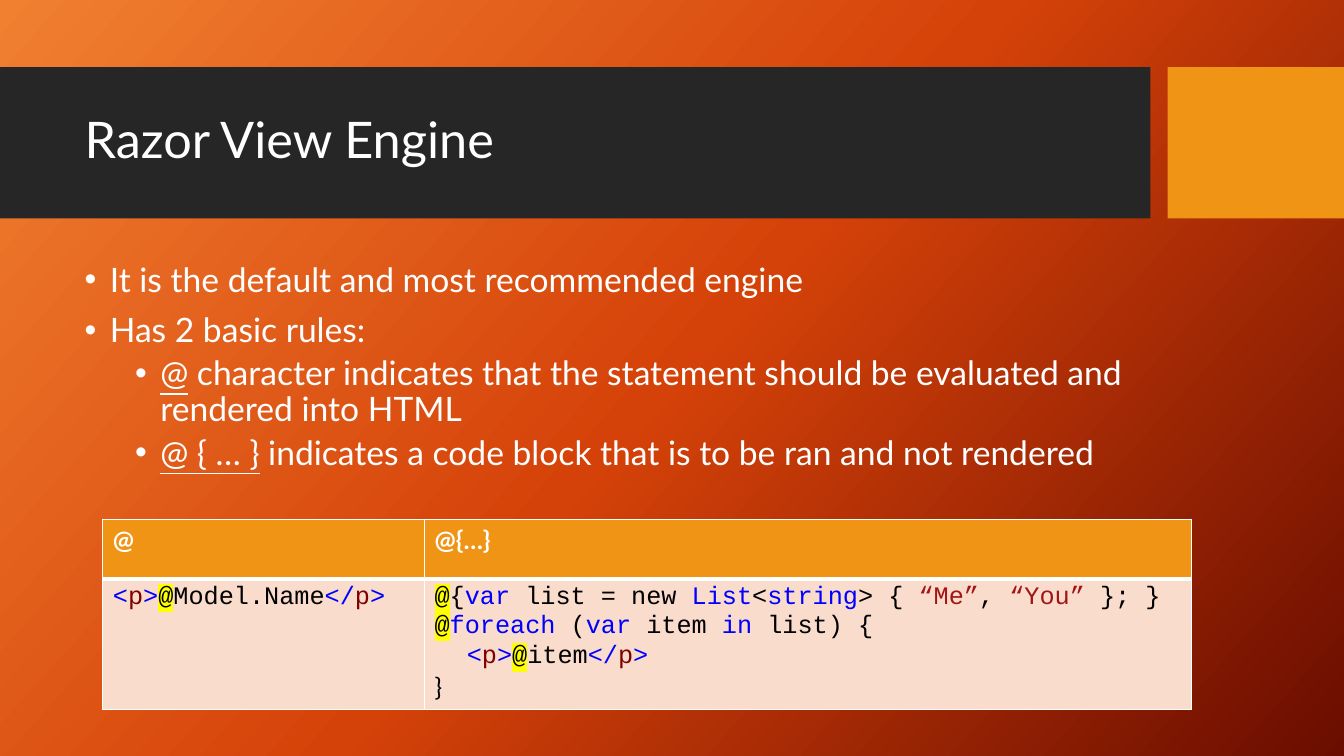
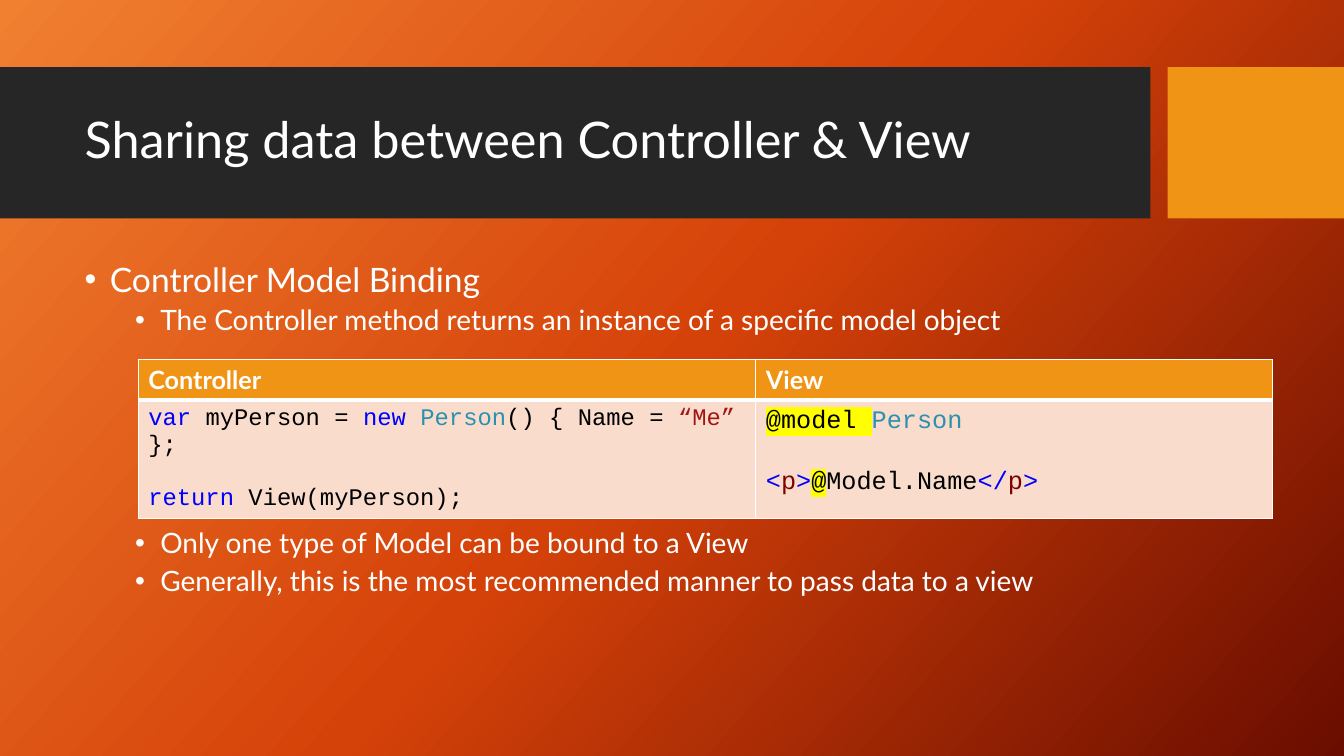
from copy import deepcopy

from lxml import etree
from pptx import Presentation
from pptx.dml.color import RGBColor
from pptx.enum.shapes import MSO_SHAPE
from pptx.enum.text import MSO_ANCHOR, MSO_AUTO_SIZE, PP_ALIGN
from pptx.oxml.ns import qn
from pptx.util import Emu, Inches, Pt

RECTANGLE = MSO_SHAPE.RECTANGLE
TOP, MIDDLE = MSO_ANCHOR.TOP, MSO_ANCHOR.MIDDLE
NO_FIT = MSO_AUTO_SIZE.NONE
LEFT = PP_ALIGN.LEFT

SLIDE_WIDTH, SLIDE_HEIGHT = Inches(13.33), Inches(7.5)
WHITE = RGBColor(0xFF, 0xFF, 0xFF)
BLACK = RGBColor(0x00, 0x00, 0x00)
CHARCOAL = RGBColor(0x26, 0x26, 0x26)
AMBER = RGBColor(0xF0, 0x94, 0x15)
PEACH = RGBColor(0xF9, 0xDC, 0xCC)
YELLOW = RGBColor(0xFF, 0xFF, 0x00)
KEYWORD = RGBColor(0x00, 0x00, 0xFF)
TAG = RGBColor(0x80, 0x00, 0x00)
LITERAL = RGBColor(0xA3, 0x15, 0x15)
CLASS_NAME = RGBColor(0x2B, 0x91, 0xAF)
GRADIENT = [
    (0, RGBColor(0xF1, 0x80, 0x31)),
    (0.5, RGBColor(0xD5, 0x42, 0x09)),
    (1, RGBColor(0x6A, 0x0D, 0x00)),
]
GRADIENT_ANGLE = 360 - 42

TEXT_FONT, CODE_FONT = "Lato", "Courier New"
TITLE_FORMAT = {"size": Pt(36), "name": TEXT_FONT}
HEADER_FORMAT = {"size": Pt(18), "name": TEXT_FONT, "bold": True}
LIST_LEVELS = [
    {"margin": 0.25, "before": 10},
    {"margin": 0.75, "before": 5},
]

TITLE_BOX = (5.55, 10.93, 78.85, 15.73)
BODY_BOX = (5.55, 34.13, 78.85, 52.53)
BANDS = [
    ((0, 8.9, 85.6, 20), CHARCOAL),
    ((86.87, 8.9, 13.13, 20), AMBER),
]


def across(percent):
    return Emu(round(SLIDE_WIDTH * percent / 100))


def down(percent):
    return Emu(round(SLIDE_HEIGHT * percent / 100))


def frame(box):
    left, top, width, height = box
    return across(left), down(top), across(width), down(height)


def assign(target, values):
    for key, value in values.items():
        setattr(target, key, value)


def place(part, box):
    assign(part, dict(zip(("left", "top", "width", "height"), frame(box))))


def add_colour(parent, tag, colour):
    holder = etree.SubElement(parent, qn(tag))
    etree.SubElement(holder, qn("a:srgbClr"), val=str(colour))
    return holder


def write(paragraph, text, values, colour=WHITE, highlight=None):
    run = paragraph.add_run()
    run.text = text
    run.font.color.rgb = colour
    assign(run.font, values)
    if highlight is not None:
        properties = run.font._element
        mark = add_colour(properties, "a:highlight", highlight)
        properties.find(qn("a:solidFill")).addnext(mark)


def next_paragraph(text_frame, index):
    return text_frame.add_paragraph() if index else text_frame.paragraphs[0]


def paint_background(layout):
    fill = layout.background.fill
    fill.gradient()
    stops = layout.element.find(".//" + qn("a:gsLst"))
    stops.append(deepcopy(stops[0]))
    for stop, (position, colour) in zip(fill.gradient_stops, GRADIENT):
        stop.color.rgb = colour
        stop.position = position
    fill.gradient_angle = GRADIENT_ANGLE


def prepare_layout(layout, first_slide):
    title, body, *footers = layout.placeholders
    for footer in footers:
        footer.element.getparent().remove(footer.element)
    place(title, TITLE_BOX)
    place(body, BODY_BOX)
    paint_background(layout)
    for box, colour in BANDS:
        band = first_slide.shapes.add_shape(RECTANGLE, *frame(box))
        band.shadow.inherit = False
        band.fill.solid()
        band.fill.fore_color.rgb = colour
        band.line.fill.background()
        title.element.addprevious(band.element)


def fill_title(title, text):
    assign(title.text_frame, {"vertical_anchor": MIDDLE, "auto_size": NO_FIT})
    paragraph = title.text_frame.paragraphs[0]
    assign(paragraph, {"alignment": LEFT, "line_spacing": 0.9})
    write(paragraph, text, TITLE_FORMAT)


def fill_list(body, items):
    assign(body.text_frame, {"vertical_anchor": TOP, "auto_size": NO_FIT})
    for index, item in enumerate(items):
        level = item["level"]
        style = LIST_LEVELS[level]
        paragraph = next_paragraph(body.text_frame, index)
        assign(paragraph, {
            "level": level,
            "alignment": LEFT,
            "line_spacing": 0.9,
            "space_before": Pt(item.get("before", style["before"])),
        })
        properties = paragraph._p.get_or_add_pPr()
        properties.set("marL", str(Inches(style["margin"])))
        properties.set("indent", str(Inches(-0.25)))
        etree.SubElement(properties, qn("a:buChar"), char="•")
        values = {"size": Pt(item.get("size", 24)), "name": TEXT_FONT}
        if "term" in item:
            write(paragraph, item["term"], values | {"underline": True})
        write(paragraph, item["text"], values)


def style_cell(cell, colour, top_width, bottom_width):
    properties = cell._tc.get_or_add_tcPr()
    widths = {"L": 1, "R": 1, "T": top_width, "B": bottom_width}
    for side, width in widths.items():
        border = etree.SubElement(properties, qn(f"a:ln{side}"), w=str(Pt(width)))
        add_colour(border, "a:solidFill", WHITE)
    cell.fill.solid()
    cell.fill.fore_color.rgb = colour


def fill_code(cell, code):
    for index, line in enumerate(code["lines"]):
        paragraph = next_paragraph(cell.text_frame, index)
        paragraph.line_spacing = code.get("spacing", 1.0)
        paragraph.space_before = Pt(line.get("before", 0))
        properties = paragraph._p.get_or_add_pPr()
        properties.set("marL", str(Inches(line.get("indent", 0))))
        values = {"size": Pt(code["size"]), "name": line.get("font", CODE_FONT)}
        for text, colour in line["tokens"]:
            if colour == YELLOW:
                write(paragraph, text, values, BLACK, YELLOW)
            else:
                write(paragraph, text, values, colour)


def add_code_table(slide, box, column_shares, row_heights, headers, codes):
    left, top, width = box
    area = frame((left, top, width, sum(row_heights)))
    table = slide.shapes.add_table(2, len(headers), *area).table
    for column, share in zip(table.columns, column_shares):
        column.width = across(width * share / 100)
    for row, height in zip(table.rows, row_heights):
        row.height = down(height)
    for index, (header, code) in enumerate(zip(headers, codes)):
        header_cell, code_cell = table.cell(0, index), table.cell(1, index)
        write(header_cell.text_frame.paragraphs[0], header, HEADER_FORMAT)
        style_cell(header_cell, AMBER, 1, 3)
        fill_code(code_cell, code)
        style_cell(code_cell, PEACH, 3, 1)


def paragraph_tag(expression):
    return [
        ("<", KEYWORD), ("p", TAG), (">", KEYWORD),
        ("@", YELLOW), (expression, BLACK),
        ("</", KEYWORD), ("p", TAG), (">", KEYWORD),
    ]


RAZOR = {
    "title": "Razor View Engine",
    "items": [
        {"level": 0, "text": "It is the default and most recommended engine"},
        {"level": 0, "text": "Has 2 basic rules:"},
        {"level": 1, "term": "@",
         "text": " character indicates that the statement should be evaluated and rendered into HTML"},
        {"level": 1, "term": "@ { … }",
         "text": " indicates a code block that is to be ran and not rendered"},
    ],
    "table": {
        "box": (7.65, 68.67, 81.02),
        "column_shares": (29.54, 70.46),
        "row_heights": (7.87, 17.33),
        "headers": ("@", "@{…}"),
        "codes": (
            {"size": 18, "lines": [{"tokens": paragraph_tag("Model.Name")}]},
            {"size": 18, "lines": [
                {"tokens": [
                    ("@", YELLOW), ("{", BLACK), ("var", KEYWORD),
                    (" list = new ", BLACK), ("List", KEYWORD), ("<", BLACK),
                    ("string", KEYWORD), ("> { ", BLACK), ("“Me”", LITERAL),
                    (", ", BLACK), ("“You” ", LITERAL), ("}; }", BLACK)]},
                {"tokens": [
                    ("@", YELLOW), ("foreach ", KEYWORD), ("(", BLACK),
                    ("var", KEYWORD), (" item ", BLACK), ("in ", KEYWORD),
                    ("list) {", BLACK)]},
                {"tokens": paragraph_tag("item"), "indent": 0.32, "before": 1.5},
                {"tokens": [("}", BLACK)], "font": TEXT_FONT},
            ]},
        ),
    },
}

SHARING = {
    "title": "Sharing data between Controller & View",
    "items": [
        {"level": 0, "text": "Controller Model Binding"},
        {"level": 1, "size": 20,
         "text": "The Controller method returns an instance of a specific model object"},
        {"level": 1, "size": 20, "before": 138,
         "text": "Only one type of Model can be bound to a View"},
        {"level": 1, "size": 20,
         "text": "Generally, this is the most recommended manner to pass data to a view"},
    ],
    "table": {
        "box": (10.28, 47.6, 84.4),
        "column_shares": (54.45, 45.55),
        "row_heights": (5.33, 15.6),
        "headers": ("Controller", "View"),
        "codes": (
            {"size": 17, "lines": [
                {"tokens": [
                    ("var ", KEYWORD), ("myPerson = ", BLACK), ("new ", KEYWORD),
                    ("Person", CLASS_NAME), ("() { Name = ", BLACK),
                    ("“Me” ", LITERAL), ("};", BLACK)]},
                {"before": 19,
                 "tokens": [("return", KEYWORD), (" View(myPerson);", BLACK)]},
            ]},
            {"size": 18, "spacing": 1.07, "lines": [
                {"tokens": [("@model ", YELLOW), ("Person", CLASS_NAME)]},
                {"before": 22, "tokens": paragraph_tag("Model.Name")},
            ]},
        ),
    },
}


def fill_slide(slide, content):
    title, body = slide.placeholders
    fill_title(title, content["title"])
    fill_list(body, content["items"])
    add_code_table(slide, **content["table"])


def main():
    deck = Presentation()
    assign(deck, {"slide_width": SLIDE_WIDTH, "slide_height": SLIDE_HEIGHT})
    layout = deck.slide_layouts[1]
    contents = (RAZOR, SHARING)
    slides = [deck.slides.add_slide(layout) for _ in contents]
    prepare_layout(layout, slides[0])
    for slide, content in zip(slides, contents):
        fill_slide(slide, content)
    deck.save("out.pptx")


if __name__ == "__main__":
    main()
